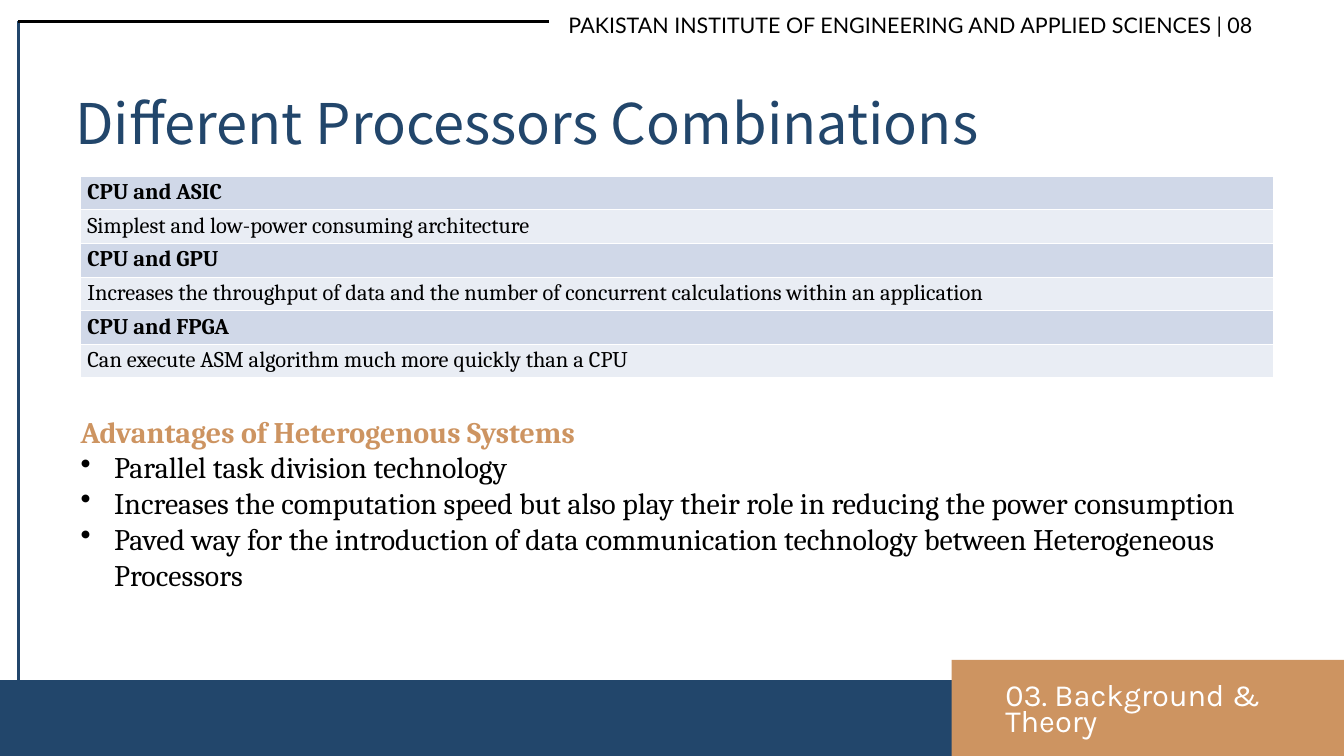
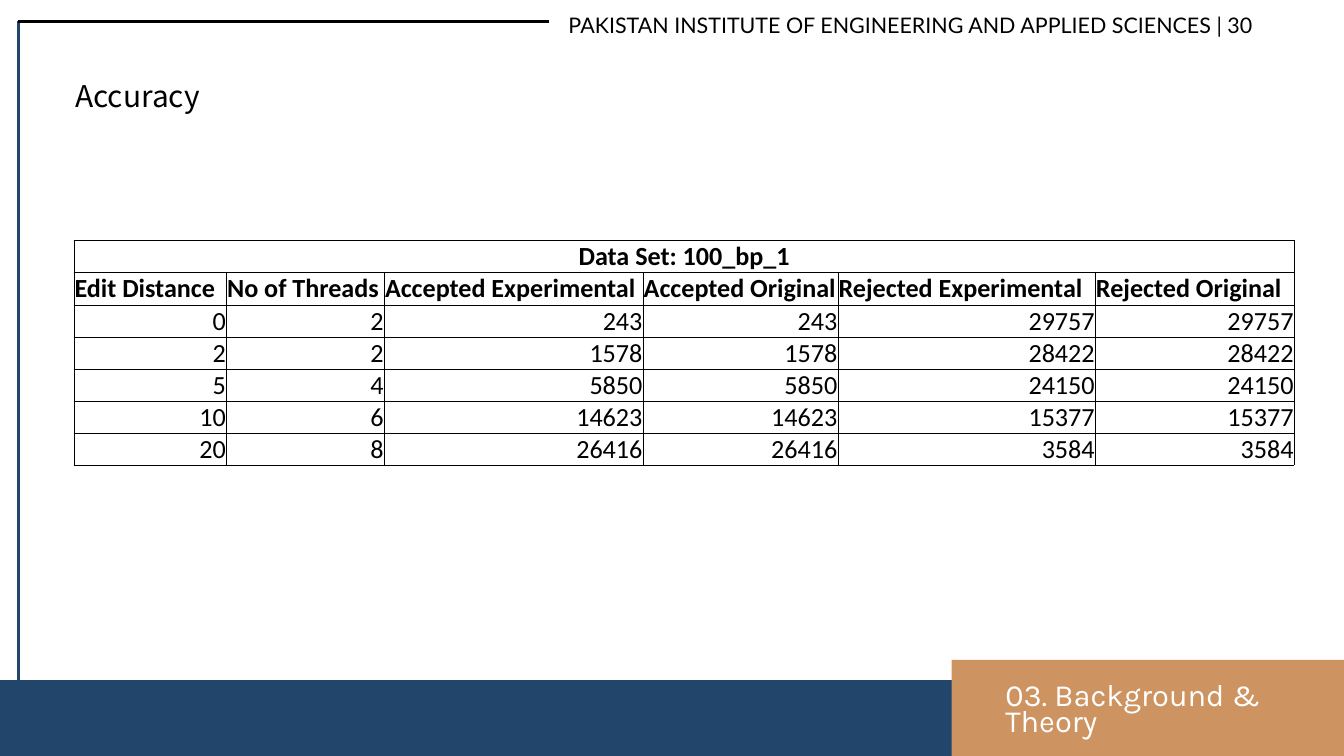
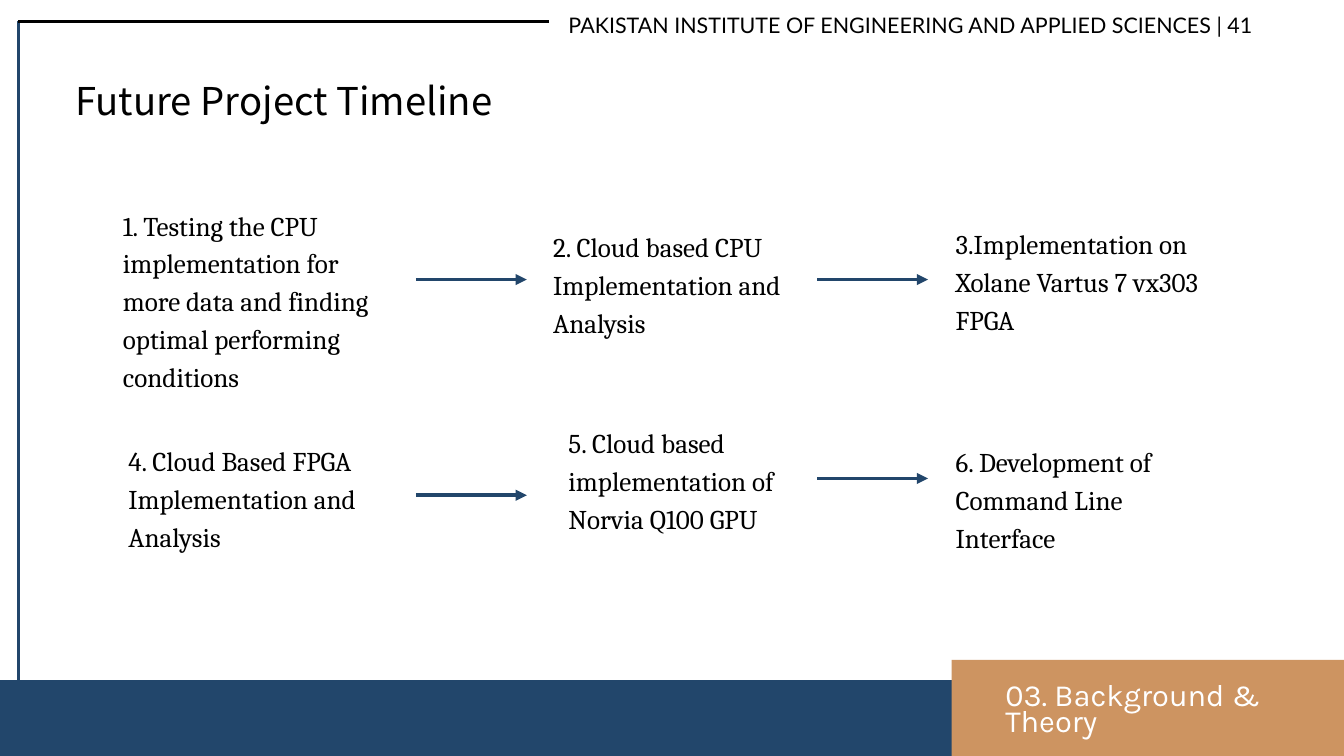
from dataclasses import dataclass

from pptx import Presentation
from pptx.dml.color import RGBColor as RGB
from pptx.enum.shapes import MSO_CONNECTOR as CONN, MSO_SHAPE as SHAPE
from pptx.enum.text import MSO_ANCHOR as ANCHOR, MSO_AUTO_SIZE as FIT, PP_ALIGN as ALIGN
from pptx.oxml.xmlchemy import OxmlElement
from pptx.util import Inches, Pt


@dataclass(frozen=True)
class Theme:
    navy: RGB = RGB.from_string("22466B")
    tan: RGB = RGB.from_string("CD9461")
    black: RGB = RGB.from_string("000000")
    white: RGB = RGB.from_string("FFFFFF")
    row_dark: RGB = RGB.from_string("D0D8E8")
    row_light: RGB = RGB.from_string("E9EDF4")
    title_font: str = "Noto Sans CJK SC"
    header_font: str = "Lato"
    footer_font: str = "Karla"
    body_font: str = "Cambria"
    data_font: str = "Calibri"
    title_size: int = 60
    subtitle_size: int = 41
    label_size: int = 32
    header_size: int = 23
    footer_size: int = 33
    table_size: int = 24
    data_size: int = 28
    step_size: int = 29
    leading: float = 1.4
    title_leading: float = 1.61
    footer_leading: float = 0.87


T = Theme()
SLIDE_W, SLIDE_H = 20, 11.25


def add_run(p, text, font, size, color, bold=False):
    r = p.add_run()
    r.text = text
    r.font.name, r.font.size, r.font.bold = font, Pt(size), bold
    r.font.color.rgb = color


def add_frame(s, box, inset=True):
    sp = s.shapes.add_textbox(*map(Inches, box))
    tf = sp.text_frame
    tf.word_wrap = True
    tf.auto_size = FIT.SHAPE_TO_FIT_TEXT
    if not inset:
        tf.margin_left = tf.margin_top = tf.margin_right = tf.margin_bottom = 0
    return sp


def add_text(s, box, text, font, size, color, leading=T.leading, align=None):
    sp = add_frame(s, box, inset=False)
    p = sp.text_frame.paragraphs[0]
    p.alignment = align
    p.line_spacing = Pt(round(size * leading, 1))
    add_run(p, text, font, size, color)
    return sp


def add_line(s, x1, y1, x2, y2, color, width, arrow=False):
    cn = s.shapes.add_connector(CONN.STRAIGHT, *map(Inches, (x1, y1, x2, y2)))
    cn.line.color.rgb = color
    cn.line.width = Pt(width)
    if arrow:
        tail = OxmlElement("a:tailEnd")
        tail.set("type", "triangle")
        cn.line._get_or_add_ln().append(tail)
    cn._element.spPr.append(OxmlElement("a:effectLst"))
    return cn


def add_band(s, x, y, w, color):
    sp = s.shapes.add_shape(SHAPE.RECTANGLE, *map(Inches, (x, y, w, SLIDE_H - y)))
    sp.shadow.inherit = False
    sp.fill.solid()
    sp.fill.fore_color.rgb = color
    sp.line.fill.background()


def add_footer(s, tab_x=14.16, tab_y=9.82):
    add_band(s, 0, 10.12, 15.47, T.navy)
    add_band(s, tab_x, tab_y, SLIDE_W - tab_x, T.tan)
    add_text(s, (tab_x + 0.8, tab_y + 0.38, 4.73, 0.83), "03. Background & Theory",
             T.footer_font, T.footer_size, T.white, T.footer_leading)


def add_header(s, number, x=0.27, y=0.32):
    add_line(s, x, y, x, 10.69, T.navy, 3)
    add_line(s, 8.17, y, x, y, T.black, 3)
    add_text(s, (8.46, 0.12, 11.47, 0.43),
             f"PAKISTAN INSTITUTE OF ENGINEERING AND APPLIED SCIENCES | {number}",
             T.header_font, T.header_size, T.black, align=ALIGN.JUSTIFY)


def new_slide(prs, number):
    s = prs.slides.add_slide(prs.slide_layouts[6])
    add_footer(s)
    add_header(s, number)
    return s


def add_title(s, y, h, text, size, color=T.black, leading=T.leading, align=ALIGN.JUSTIFY):
    add_text(s, (1.12, y, 17.75, h), text, T.title_font, size, color, leading, align)


def add_grid(s, x, y, col_widths, row_heights):
    sizes = (sum(col_widths), sum(row_heights))
    tbl = s.shapes.add_table(len(row_heights), len(col_widths),
                             *map(Inches, (x, y, *sizes))).table
    tbl.first_row = tbl.horz_banding = False
    for col, w in zip(tbl.columns, col_widths):
        col.width = Inches(w)
    for row, h in zip(tbl.rows, row_heights):
        row.height = Inches(h)
    return tbl


def set_borders(cell, color, width):
    tc_pr = cell._tc.get_or_add_tcPr()
    for side in ("a:lnL", "a:lnR", "a:lnT", "a:lnB"):
        ln = OxmlElement(side)
        ln.set("w", str(Pt(width)))
        fill, clr = OxmlElement("a:solidFill"), OxmlElement("a:srgbClr")
        clr.set("val", str(color))
        fill.append(clr)
        ln.append(fill)
        tc_pr.append(ln)


def add_combination_table(s, x, y, w, pairs):
    lines = [line for pair in pairs for line in pair]
    tbl = add_grid(s, x, y, [w], [0.41] * len(lines))
    for i, line in enumerate(lines):
        cell = tbl.cell(i, 0)
        heading = i % 2 == 0
        set_borders(cell, T.white, 1)
        cell.fill.solid()
        cell.fill.fore_color.rgb = T.row_dark if heading else T.row_light
        add_run(cell.text_frame.paragraphs[0], line, T.body_font, T.table_size, T.black, heading)


def add_bullet(p, indent=0.5):
    p_pr = p._p.get_or_add_pPr()
    p_pr.set("marL", str(Inches(indent)))
    p_pr.set("indent", str(Inches(-indent)))
    bu = OxmlElement("a:buChar")
    bu.set("char", "•")
    p_pr.append(bu)


def add_advantages(s, box, heading, points):
    tf = add_frame(s, box).text_frame
    add_run(tf.paragraphs[0], heading, T.body_font, T.label_size, T.tan, True)
    for point in points:
        p = tf.add_paragraph()
        add_bullet(p)
        add_run(p, point, T.body_font, T.label_size, T.black)


def add_accuracy_table(s, x, y, caption, heads, records):
    rows = [[caption] + [""] * (len(heads) - 1), heads, *records]
    heights = [0.49 if row is heads else 0.47 for row in rows]
    tbl = add_grid(s, x, y, [2.27, 2.35, 3.85, 2.9, 3.83, 2.96], heights)
    tbl.cell(0, 0).merge(tbl.cell(0, len(heads) - 1))
    aligns = [ALIGN.CENTER, ALIGN.LEFT] + [ALIGN.RIGHT] * len(records)
    for i, row in enumerate(rows):
        for j, value in enumerate(row):
            cell = tbl.cell(i, j)
            cell.margin_left = cell.margin_right = cell.margin_top = Inches(0.01)
            cell.margin_bottom = 0
            cell.vertical_anchor = ANCHOR.BOTTOM
            set_borders(cell, T.black, 0.5)
            cell.fill.background()
            if value != "":
                p = cell.text_frame.paragraphs[0]
                p.alignment = aligns[i]
                add_run(p, str(value), T.data_font, T.data_size, T.black, i < 2)


def add_step(s, box, text):
    return add_text(s, box, text, T.body_font, T.step_size, T.black)


def add_arrow(s, x, y, length=1.65):
    return add_line(s, x, y, x + length, y, T.navy, 4, arrow=True)


def combinations_slide(prs):
    s = new_slide(prs, "08")
    add_title(s, 0.98, 1.24, "Different Processors Combinations", T.title_size,
              T.navy, T.title_leading, ALIGN.LEFT)
    add_combination_table(s, 1.2, 2.62, 17.75, [
        ("CPU and ASIC", "Simplest and low-power consuming architecture"),
        ("CPU and GPU", "Increases the throughput of data and the number of "
                        "concurrent calculations within an application"),
        ("CPU and FPGA", "Can execute ASM algorithm much more quickly than a CPU"),
    ])
    add_advantages(s, (1.1, 6.1, 18.62, 2.79), "Advantages of Heterogenous Systems", [
        "Parallel task division technology",
        "Increases the computation speed but also play their role in reducing "
        "the power consumption",
        "Paved way for the introduction of data communication technology between "
        "Heterogeneous Processors",
    ])


def accuracy_slide(prs):
    s = new_slide(prs, "30")
    add_title(s, 1.06, 0.59, "Accuracy", T.label_size)
    heads = ["Edit Distance", "No of Threads", "Accepted Experimental",
             "Accepted Original", "Rejected Experimental", "Rejected Original"]
    add_accuracy_table(s, 1.1, 3.57, "Data Set: 100_bp_1", heads, [
        (0, 2, 243, 243, 29757, 29757),
        (2, 2, 1578, 1578, 28422, 28422),
        (5, 4, 5850, 5850, 24150, 24150),
        (10, 6, 14623, 14623, 15377, 15377),
        (20, 8, 26416, 26416, 3584, 3584),
    ])


def timeline_slide(prs):
    s = new_slide(prs, "41")
    add_title(s, 1.04, 0.76, "Future Project Timeline", T.subtitle_size)
    steps = [
        ((1.83, 3.03, 3.94, 2.83), "1. Testing the CPU implementation for more data "
                                   "and finding optimal performing conditions"),
        ((8.23, 3.35, 4.28, 1.65), "2. Cloud based CPU Implementation and Analysis"),
        ((14.22, 3.31, 4.28, 1.65), "3.Implementation on Xolane Vartus 7 vx303 FPGA"),
        ((1.91, 6.54, 4.28, 1.66), "4. Cloud Based FPGA Implementation and Analysis"),
        ((8.46, 6.27, 3.07, 1.65), "5. Cloud based implementation of Norvia Q100 GPU"),
        ((14.22, 6.55, 3.7, 1.68), "6. Development of Command Line Interface"),
    ]
    boxes = [add_step(s, box, text) for box, text in steps]
    first_x, second_x = 6.19, 12.16
    add_arrow(s, first_x, 4.16)
    add_arrow(s, second_x, 4.16)
    add_arrow(s, first_x, 7.37).begin_connect(boxes[3], 3)
    add_arrow(s, second_x, 7.12)


def main():
    prs = Presentation()
    prs.slide_width, prs.slide_height = Inches(SLIDE_W), Inches(SLIDE_H)
    combinations_slide(prs)
    accuracy_slide(prs)
    timeline_slide(prs)
    prs.save("out.pptx")


if __name__ == "__main__":
    main()
